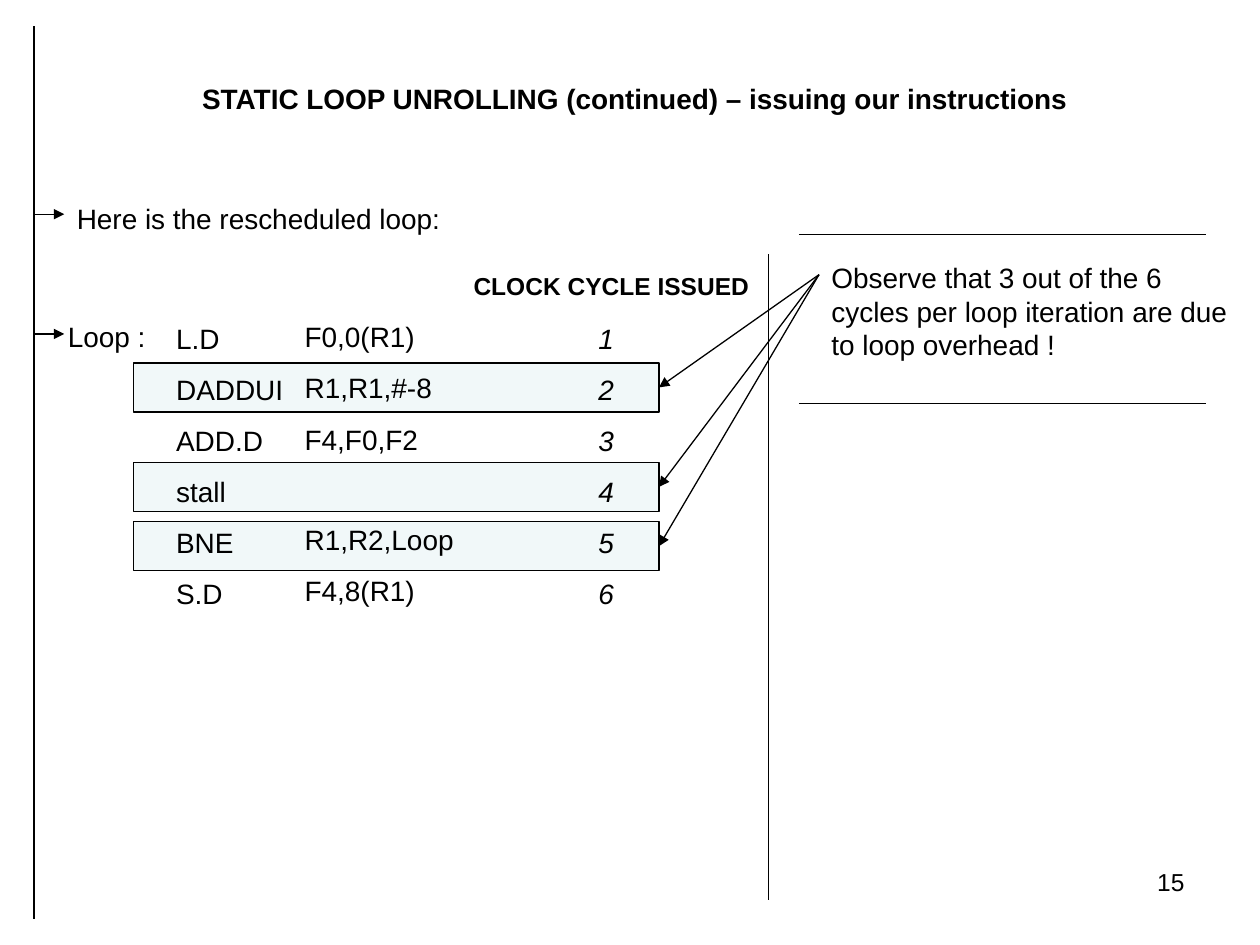
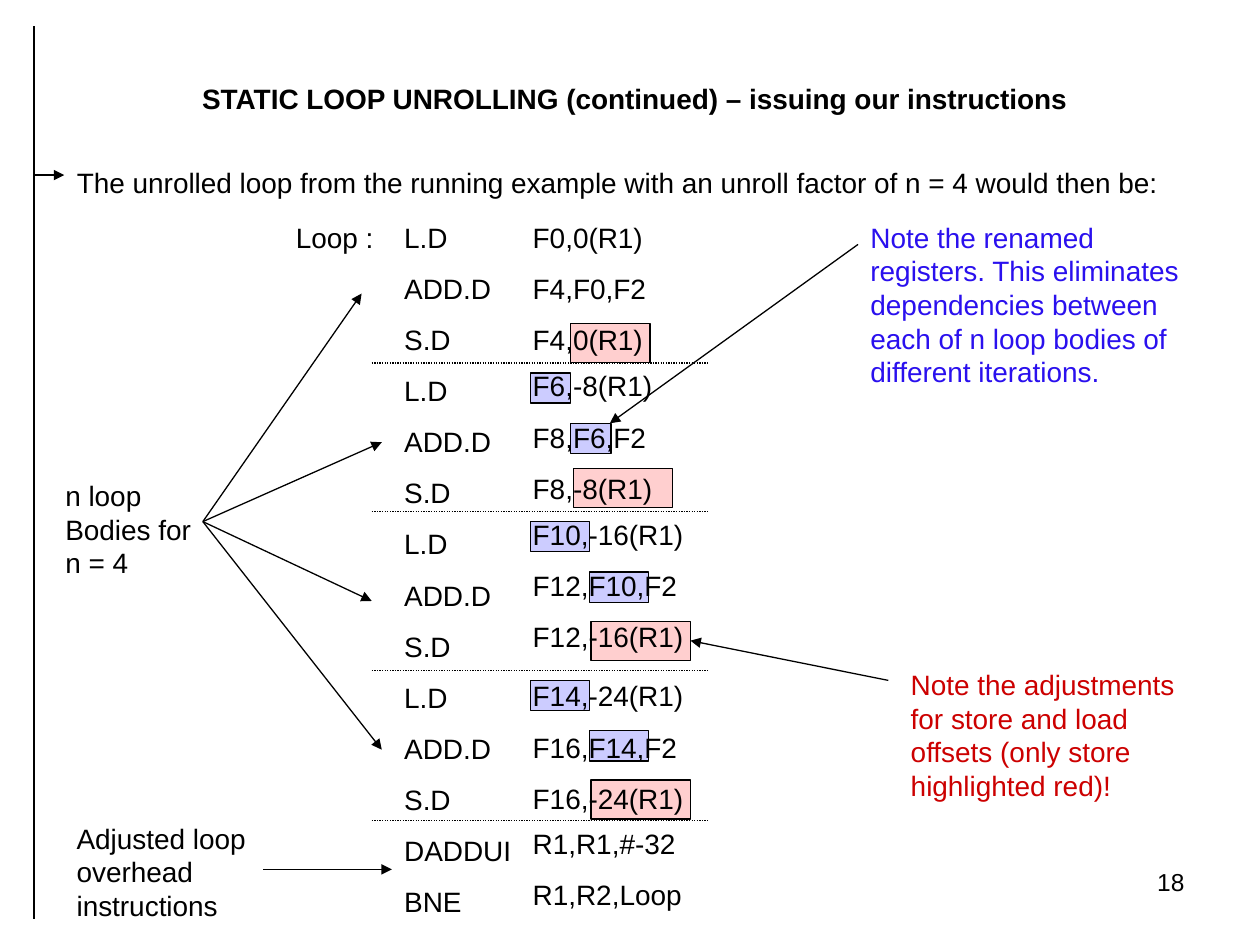
from itertools import pairwise

from lxml import etree
from pptx import Presentation
from pptx.dml.color import RGBColor
from pptx.enum.dml import MSO_LINE
from pptx.enum.shapes import MSO_CONNECTOR, MSO_SHAPE
from pptx.enum.text import MSO_ANCHOR, MSO_AUTO_SIZE, PP_ALIGN
from pptx.oxml.ns import qn
from pptx.util import Inches, Pt

BLACK = RGBColor(0x00, 0x00, 0x00)
TEAL = RGBColor(0xBB, 0xE0, 0xE3)
BLUE = RGBColor(0x00, 0x00, 0xFF)
RED = RGBColor(0xFF, 0x00, 0x00)
INDIGO = RGBColor(0x2A, 0x10, 0xEE)
CRIMSON = RGBColor(0xCC, 0x00, 0x00)

FONT = "Arial"
TITLE = "STATIC LOOP UNROLLING (continued) – issuing our instructions"
ROW_GAP = 10
ROW_STEP = 28.4
RAIL = 0.27


def write(frame, lines, size=16, color=BLACK, bold=False, italic=False,
          align=PP_ALIGN.LEFT, gap=ROW_GAP):
    """Fill a frame with paragraphs; None skips one row."""
    skip = 0
    first = True
    for line in lines:
        if line is None:
            skip += ROW_STEP
            continue
        para = frame.paragraphs[0] if first else frame.add_paragraph()
        first = False
        para.alignment = align
        para.space_before = Pt(gap + skip)
        skip = 0
        run = para.add_run()
        run.text = line
        font = run.font
        font.name = FONT
        font.size = Pt(size)
        font.bold = bold
        font.italic = italic
        font.color.rgb = color


def add_text(slide, left, top, width, height, *lines, wrap=True, **style):
    box = slide.shapes.add_textbox(Inches(left), Inches(top),
                                   Inches(width), Inches(height))
    frame = box.text_frame
    frame.word_wrap = wrap
    frame.auto_size = MSO_AUTO_SIZE.NONE
    write(frame, lines, **style)


def fill_holder(holder, left, top, width, height, text, **style):
    """Move a placeholder and give it one line of text."""
    holder.left, holder.top = Inches(left), Inches(top)
    holder.width, holder.height = Inches(width), Inches(height)
    frame = holder.text_frame
    frame.vertical_anchor = MSO_ANCHOR.TOP
    frame.auto_size = MSO_AUTO_SIZE.NONE
    write(frame, [text], **style)


def add_box(slide, left, top, width, height, color, alpha=20):
    box = slide.shapes.add_shape(MSO_SHAPE.RECTANGLE, Inches(left), Inches(top),
                                 Inches(width), Inches(height))
    box.shadow.inherit = False
    box.fill.solid()
    box.fill.fore_color.rgb = color
    tint = box.fill._xPr.find(qn("a:solidFill"))[0]
    etree.SubElement(tint, qn("a:alpha")).set("val", str(alpha * 1000))
    box.line.color.rgb = BLACK
    box.line.width = Pt(0.75)
    return box


def add_line(slide, start, end, arrow=False, dash=None, target=None):
    """Draw a line; a target box is joined at its right side."""
    line = slide.shapes.add_connector(
        MSO_CONNECTOR.STRAIGHT, Inches(start[0]), Inches(start[1]),
        Inches(end[0]), Inches(end[1]))
    line.line.color.rgb = BLACK
    line.line.width = Pt(0.75)
    if dash:
        line.line.dash_style = dash
    if arrow:
        tail = etree.SubElement(line.line._get_or_add_ln(), qn("a:tailEnd"))
        tail.set("type", "triangle")
    etree.SubElement(line._element.spPr, qn("a:effectLst"))
    if target is not None:
        line.end_connect(target, 3)


def add_page(deck, number, lead, lead_top, marks):
    """Add a slide with title, lead line, page number and marked left rail."""
    slide = deck.slides.add_slide(deck.slide_layouts[1])
    fill_holder(slide.shapes.title, 0.51, 0.6, 9.06, 0.37, TITLE,
                bold=True, align=PP_ALIGN.CENTER)
    body = slide.placeholders[1]
    fill_holder(body, 0.51, lead_top, 8.9, 0.37, lead)
    props = body.text_frame.paragraphs[0]._p.get_or_add_pPr()
    props.set("marL", "0")
    props.set("indent", "0")
    etree.SubElement(props, qn("a:buNone"))
    add_text(slide, 7.17, 6.83, 2.33, 0.52, number, size=14,
             align=PP_ALIGN.RIGHT, gap=0)
    for top, end in pairwise((0.21, 2.65, 7.29)):
        add_line(slide, (RAIL, top), (RAIL, end))
    for mark in marks:
        add_line(slide, (RAIL, mark), (0.51, mark), arrow=True)
    return slide


def add_schedule(deck):
    slide = add_page(deck, "15", "Here is the rescheduled loop:", 1.55,
                     (1.7, 2.65))
    stalls = [add_box(slide, 1.06, top, 4.17, 0.39, TEAL)
              for top in (2.88, 3.67, 4.14)]

    add_text(slide, 0.44, 2.49, 0.81, 0.37, "Loop :", wrap=False, gap=0)
    add_text(slide, 1.3, 2.5, 1.1, 2.8,
             "L.D", "DADDUI", "ADD.D", "stall", "BNE", "S.D")
    add_text(slide, 2.32, 2.49, 1.97, 2.4, "F0,0(R1)", "R1,R1,#-8",
             "F4,F0,F2", None, "R1,R2,Loop", "F4,8(R1)")
    add_text(slide, 4.65, 2.5, 1.06, 2.4, *"123456", italic=True)
    add_text(slide, 3.66, 2.1, 2.99, 0.34, "CLOCK CYCLE ISSUED",
             size=14, bold=True, gap=8.8)

    add_line(slide, (6.1, 2.02), (6.1, 7.14))
    for top in (1.86, 3.2):
        add_line(slide, (6.34, top), (9.57, top))
    add_text(slide, 6.5, 2.02, 3.39, 0.9, "Observe that 3 out of the 6 cycles "
             "per loop iteration are due to loop overhead !")
    for stall in stalls:
        add_line(slide, (6.5, 2.18), (5.23, 3), arrow=True, target=stall)


def add_unrolled(deck):
    slide = add_page(deck, "18", "The unrolled loop from the running example "
                     "with an unroll factor of n = 4 would then be:", 1.26,
                     (1.39,))
    for top, width in ((2.96, 0.32), (4.14, 0.47), (5.4, 0.47)):
        add_box(slide, 4.21, top, width, 0.24, BLUE)
        add_box(slide, 4.21 + width, top + 0.4, width, 0.24, BLUE)
    stores = {top: add_box(slide, left, top, width, 0.31, RED, 19)
              for left, top, width in ((4.53, 2.57, 0.63), (4.55, 3.72, 0.79),
                                       (4.69, 4.93, 0.79), (4.69, 6.19, 0.79))}

    add_text(slide, 2.25, 1.7, 0.81, 0.37, "Loop :", wrap=False, gap=0)
    add_text(slide, 3.11, 1.7, 1.1, 6.05,
             *["L.D", "ADD.D", "S.D"] * 4, "DADDUI", "BNE")
    blocks = (
        (1.7, "F0,0(R1)", "F4,F0,F2", "F4,0(R1)"),
        (2.88, "F6,-8(R1)", "F8,F6,F2", "F8,-8(R1)"),
        (4.06, "F10,-16(R1)", "F12,F10,F2", "F12,-16(R1)"),
        (5.34, "F14,-24(R1)", "F16,F14,F2", "F16,-24(R1)"),
        (6.51, "R1,R1,#-32", "R1,R2,Loop"),
    )
    for top, *rows in blocks:
        add_text(slide, 4.13, top, 1.97, 0.4 * len(rows), *rows)
    for top in (2.88, 4.06, 5.32, 6.51):
        add_line(slide, (2.95, top), (5.63, top), dash=MSO_LINE.ROUND_DOT)

    add_text(slide, 0.42, 3.75, 1.2, 0.9, "n loop", "Bodies for", "n = 4",
             wrap=False, gap=0)
    for end in ((2.87, 2.33), (3.03, 3.51), (2.95, 4.77), (3.03, 5.95)):
        add_line(slide, (1.61, 4.14), end, arrow=True)
    add_text(slide, 0.51, 6.47, 1.57, 0.9,
             "Adjusted loop overhead instructions")
    add_line(slide, (2.09, 6.9), (3.11, 6.9), arrow=True)

    add_text(slide, 6.81, 1.7, 2.68, 1.44, "Note the renamed registers. This "
             "eliminates dependencies between each of n loop bodies of "
             "different iterations.", color=INDIGO)
    add_line(slide, (6.81, 1.94), (4.84, 3.36), arrow=True)
    add_text(slide, 7.13, 5.25, 2.44, 1.17, "Note the adjustments for store "
             "and load offsets (only store highlighted red)!", color=CRIMSON)
    add_line(slide, (7.05, 5.4), (5.48, 5.09), arrow=True, target=stores[4.93])


def main():
    deck = Presentation()
    deck.slide_width, deck.slide_height = Inches(10), Inches(7.5)
    add_schedule(deck)
    add_unrolled(deck)
    deck.save("out.pptx")


if __name__ == "__main__":
    main()
